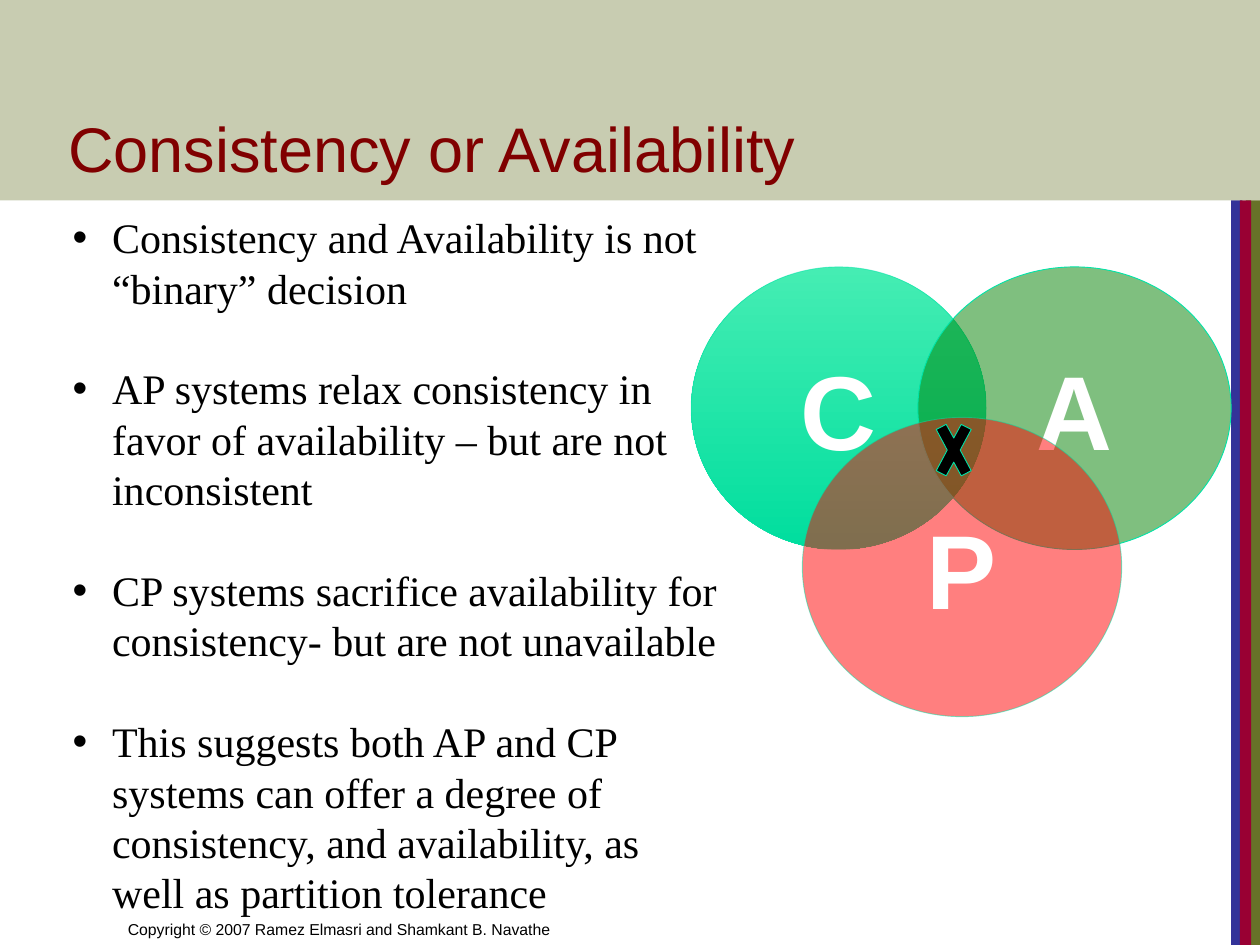
from lxml import etree
from pptx import Presentation
from pptx.dml.color import RGBColor
from pptx.enum.shapes import MSO_SHAPE
from pptx.enum.text import MSO_ANCHOR, PP_ALIGN
from pptx.oxml.ns import qn
from pptx.util import Pt

RECT, OVAL = MSO_SHAPE.RECTANGLE, MSO_SHAPE.OVAL
TOP, MIDDLE, BOTTOM = MSO_ANCHOR.TOP, MSO_ANCHOR.MIDDLE, MSO_ANCHOR.BOTTOM
CENTER = PP_ALIGN.CENTER


def rgb(value):
    return RGBColor.from_string(value)


class Deck:
    sans, serif = "Arial", "Times New Roman"
    olive, maroon, teal = "677228", "800000", "00E4A8"
    black, white = "000000", "FFFFFF"

    def __init__(self, width, height):
        self.prs = Presentation()
        self.prs.slide_width, self.prs.slide_height = Pt(width), Pt(height)
        self.slide = self.prs.slides.add_slide(self.prs.slide_layouts[6])

    def paint(self, fill, color, opacity=100):
        fill.solid()
        fill.fore_color.rgb = rgb(color)
        if opacity < 100:
            color_xml = next(fill._xPr.iter(qn("a:srgbClr")))
            etree.SubElement(color_xml, qn("a:alpha"), val=str(opacity * 1000))

    def outline(self, shape, opacity=100):
        shape.shadow.inherit = False
        shape.line.width = Pt(0.5)
        self.paint(shape.line.fill, self.teal, opacity)

    def font(self, paragraph, name, size, color, bold=False):
        font = paragraph.font
        font.name, font.size, font.bold = name, Pt(size), bold
        font.color.rgb = rgb(color)

    def bar(self, x, y, w, h, color, opacity=100):
        bar = self.slide.shapes.add_shape(RECT, Pt(x), Pt(y), Pt(w), Pt(h))
        bar.shadow.inherit = False
        self.paint(bar.fill, color, opacity)
        bar.line.fill.background()

    def frame(self, x, y, w, h, anchor):
        frame = self.slide.shapes.add_textbox(Pt(x), Pt(y), Pt(w), Pt(h)).text_frame
        frame.word_wrap, frame.vertical_anchor = True, anchor
        return frame

    def label(self, x, y, w, h, text, size, color):
        paragraph = self.frame(x, y, w, h, BOTTOM).paragraphs[0]
        paragraph.text = text
        self.font(paragraph, self.sans, size, color)

    def bullets(self, x, y, w, h, items, size, indent, leading):
        frame = self.frame(x, y, w, h, TOP)
        for i, item in enumerate(items):
            paragraph = frame.add_paragraph() if i else frame.paragraphs[0]
            paragraph.text = item
            props = paragraph._p.get_or_add_pPr()
            props.set("marL", str(Pt(indent)))
            props.set("indent", str(-Pt(indent)))
            etree.SubElement(props, qn("a:buFont"), typeface=self.sans)
            etree.SubElement(props, qn("a:buChar"), char="•")
            paragraph.line_spacing = Pt(leading)
            if i:
                paragraph.space_before = Pt(leading)
            self.font(paragraph, self.serif, size, self.black)

    def circle(self, x, y, w, h, letter, color=None, gradient=None, line_opacity=100):
        circle = self.slide.shapes.add_shape(OVAL, Pt(x), Pt(y), Pt(w), Pt(h))
        if gradient:
            circle.fill.gradient()
            circle.fill.gradient_angle = 270
            for stop, stop_color, position in zip(circle.fill.gradient_stops, gradient, (0, 1)):
                stop.color.rgb, stop.position = rgb(stop_color), position
        else:
            self.paint(circle.fill, color, 50)
        self.outline(circle, line_opacity)
        circle.text_frame.vertical_anchor = MIDDLE
        paragraph = circle.text_frame.paragraphs[0]
        paragraph.text, paragraph.alignment = letter, CENTER
        self.font(paragraph, self.sans, 60, self.white, bold=True)

    def cross(self, cx, cy, half):
        """Draw a cross from its upper half; the lower half is that turned by 180°."""
        corners = half + [(-dx, -dy) for dx, dy in half]
        points = [(Pt(cx + dx), Pt(cy + dy)) for dx, dy in corners]
        builder = self.slide.shapes.build_freeform(*points[0])
        builder.add_line_segments(points[1:], close=True)
        cross = builder.convert_to_shape()
        self.paint(cross.fill, self.black)
        self.outline(cross)


def main():
    deck = Deck(720, 540)

    # Title band and side stripes
    band = 114.5
    for x, width, color in ((712, 8, deck.olive), (703.5, 6.5, "333399"), (708.5, 6.5, "990033")):
        deck.bar(x, band, width, 540 - band, color)
    deck.bar(0, 0, 720, band, deck.olive, 36)

    # Copyright line and title
    deck.label(66, 504, 354, 36, "Copyright © 2007 Ramez Elmasri and Shamkant B. Navathe", 9, deck.black)
    deck.label(32, 34, 672, 75.5, "Consistency or Availability", 36, deck.maroon)

    # Venn diagram
    deck.circle(395, 152.5, 168.5, 161.5, "C", gradient=("45EDB3", "00DE9E"), line_opacity=50)
    deck.circle(524.5, 152.5, 179, 161.5, "A", "008000")
    deck.circle(458.5, 238.5, 182.5, 171, "P", "FF0000", line_opacity=50)
    deck.cross(545, 257.2, [(-10, -11.8), (-4.3, -14.7), (0, -6.9), (4.3, -14.7), (10, -11.8), (3.7, 0)])

    # Discussion points
    deck.bullets(34.5, 117.5, 385, 410, [
        "Consistency and Availability is not “binary” decision",
        "AP systems relax consistency in favor of availability – but are not inconsistent",
        "CP systems sacrifice availability for consistency- but are not unavailable",
        "This suggests both AP and CP systems can offer a degree of consistency, "
        "and availability, as well as partition tolerance",
    ], size=24, indent=22.5, leading=28.8)

    deck.prs.save("out.pptx")


if __name__ == "__main__":
    main()
